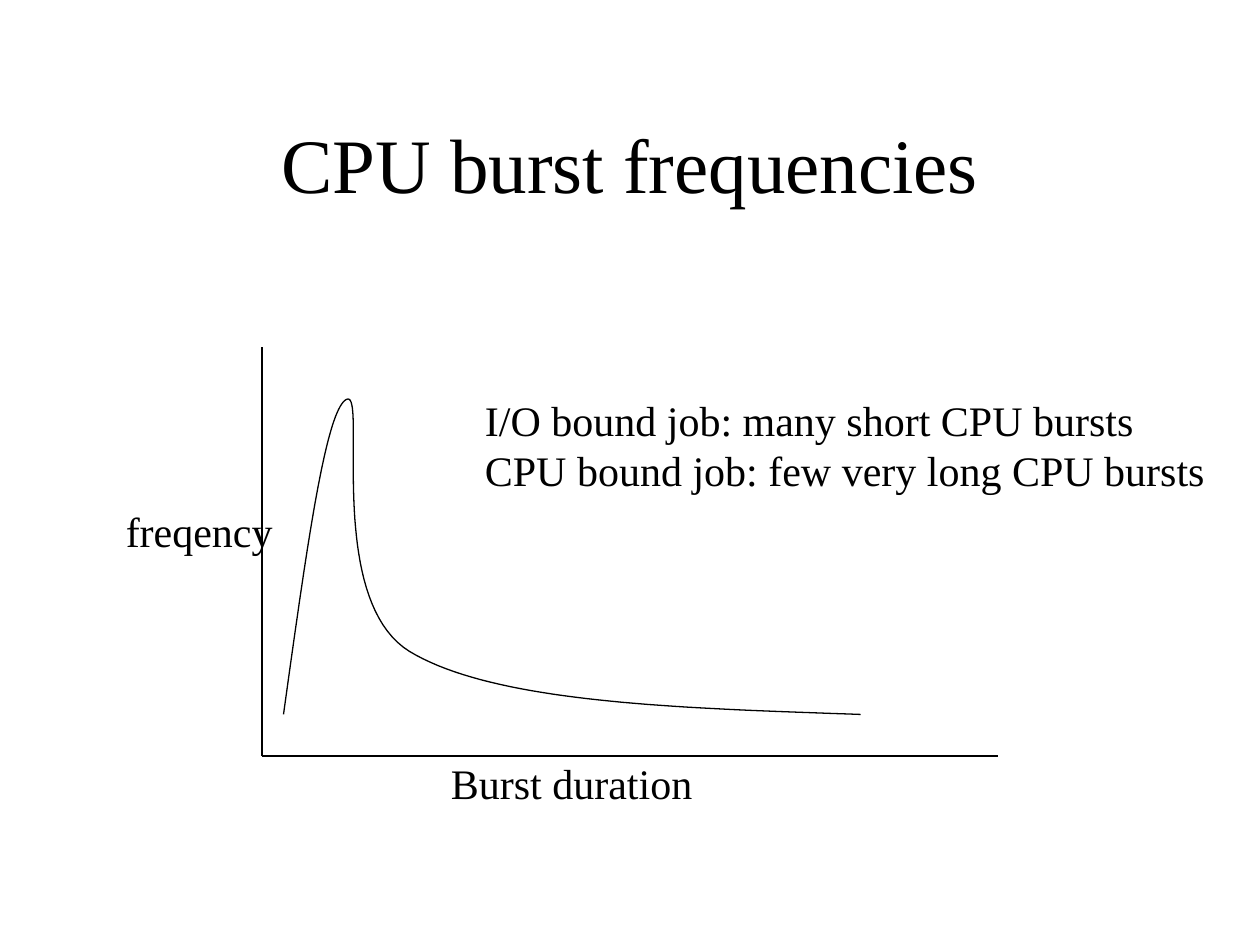
"""Build a slide that sketches how often CPU bursts of each length occur."""
from lxml import etree
from pptx import Presentation
from pptx.dml.color import RGBColor
from pptx.enum.shapes import MSO_CONNECTOR
from pptx.enum.text import MSO_ANCHOR, MSO_AUTO_SIZE, PP_ALIGN
from pptx.oxml.ns import qn
from pptx.util import Inches, Pt

STRAIGHT = MSO_CONNECTOR.STRAIGHT
MIDDLE = MSO_ANCHOR.MIDDLE
GROW = MSO_AUTO_SIZE.SHAPE_TO_FIT_TEXT
NO_FIT = MSO_AUTO_SIZE.NONE
LEFT, CENTER = PP_ALIGN.LEFT, PP_ALIGN.CENTER
BLACK = RGBColor(0, 0, 0)
FONT = "Times New Roman"

TITLE = ("CPU burst frequencies", (0.75, 0.67, 8.5, 1.25))
LABELS = [
    (["Burst duration"], (3.48, 5.96, 2.15, 0.5)),
    (["freqency"], (0.9, 3.96, 1.4, 0.5)),
    (["I/O bound job: many short CPU bursts",
      "CPU bound job: few very long CPU bursts"], (3.75, 3.08, 5.95, 0.9)),
]
ORIGIN = (2.08, 6)
AXIS_ENDS = [(2.08, 2.75), (7.92, 6)]
START = (2.25, 5.67)
BENDS = [
    ((2.42, 4.46), (2.58, 3.25), (2.75, 3.17)),
    ((2.92, 3.08), (2.57, 4.75), (3.25, 5.17)),
    ((3.93, 5.58), (5.38, 5.62), (6.83, 5.67)),
]
STEPS = 40


def style(par, size, align):
    par.alignment = align
    par.font.name = FONT
    par.font.size = Pt(size)
    par.font.color.rgb = BLACK


def ink(line):
    line.color.rgb = BLACK
    line.width = Pt(0.75)


def add_title(slide):
    text, box = TITLE
    title = slide.shapes.title
    title.left, title.top, title.width, title.height = map(Inches, box)
    frame = title.text_frame
    frame.text = text
    frame.vertical_anchor = MIDDLE
    frame.auto_size = NO_FIT
    style(frame.paragraphs[0], 44, CENTER)


def add_axis(slide, end):
    axis = slide.shapes.add_connector(STRAIGHT, *map(Inches, ORIGIN + end))
    ink(axis.line)
    etree.SubElement(axis.element.spPr, qn("a:effectLst"))


def bezier(ends, t):
    s = 1 - t
    parts = (s ** 3, 3 * s * s * t, 3 * s * t * t, t ** 3)
    return tuple(Inches(sum(w * p[i] for w, p in zip(parts, ends)))
                 for i in (0, 1))


def add_curve(slide):
    points, start = [], START
    for bend in BENDS:
        points += [bezier((start, *bend), n / STEPS)
                   for n in range(1, STEPS + 1)]
        start = bend[-1]
    maker = slide.shapes.build_freeform(*map(Inches, START))
    maker.add_line_segments(points, close=False)
    curve = maker.convert_to_shape()
    curve.fill.background()
    curve.shadow.inherit = False
    ink(curve.line)


def add_label(slide, lines, box):
    frame = slide.shapes.add_textbox(*map(Inches, box)).text_frame
    frame.word_wrap = False
    frame.auto_size = GROW
    frame.text = "\n".join(lines)
    for par in frame.paragraphs:
        style(par, 24, LEFT)


def main():
    deck = Presentation()
    deck.slide_width, deck.slide_height = Inches(10), Inches(7.5)
    slide = deck.slides.add_slide(deck.slide_layouts[5])
    add_title(slide)
    for end in AXIS_ENDS:
        add_axis(slide, end)
    add_curve(slide)
    for lines, box in LABELS:
        add_label(slide, lines, box)
    deck.save("out.pptx")


if __name__ == "__main__":
    main()
